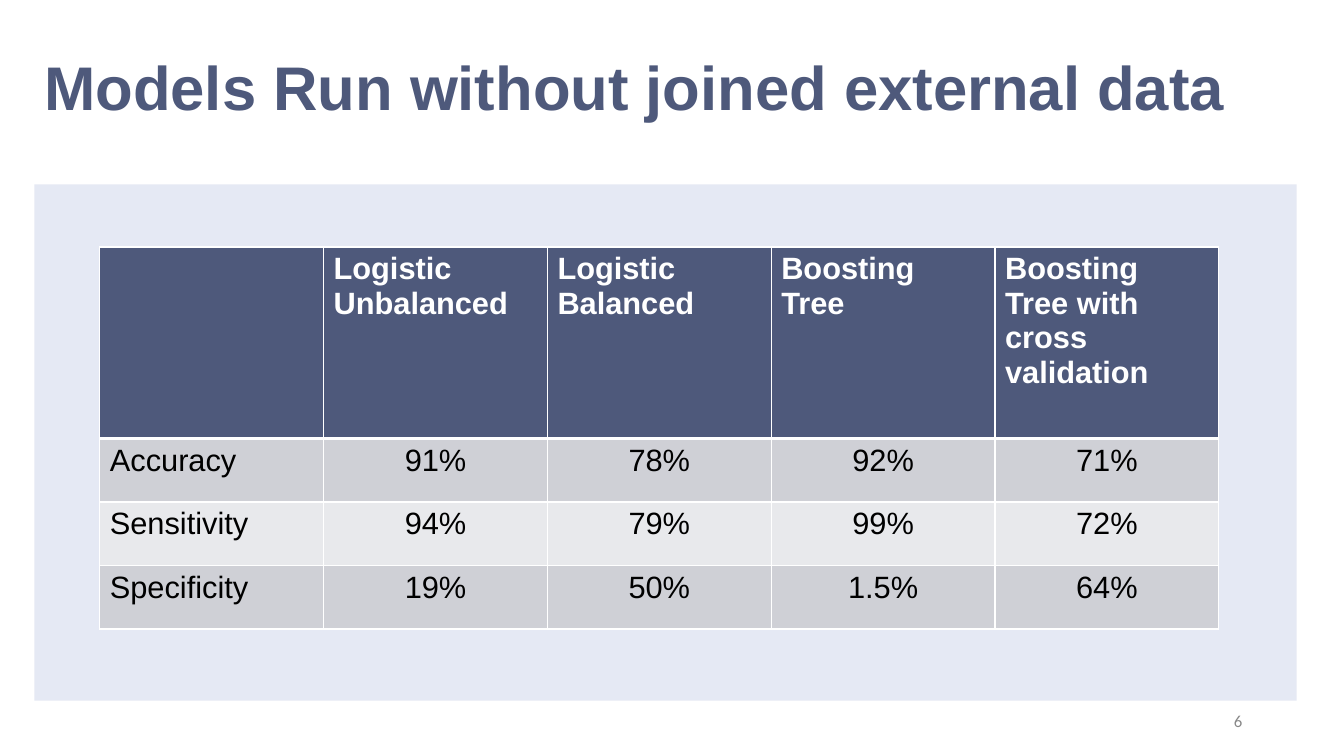
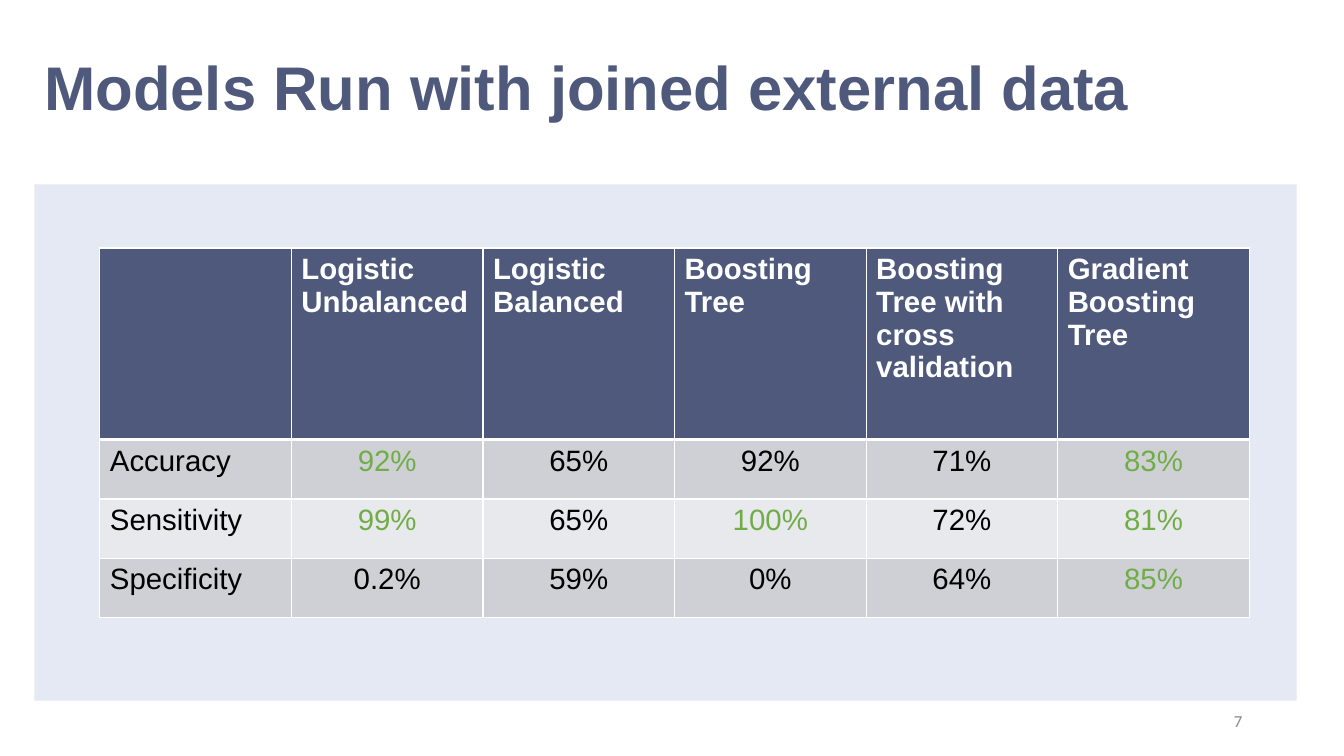
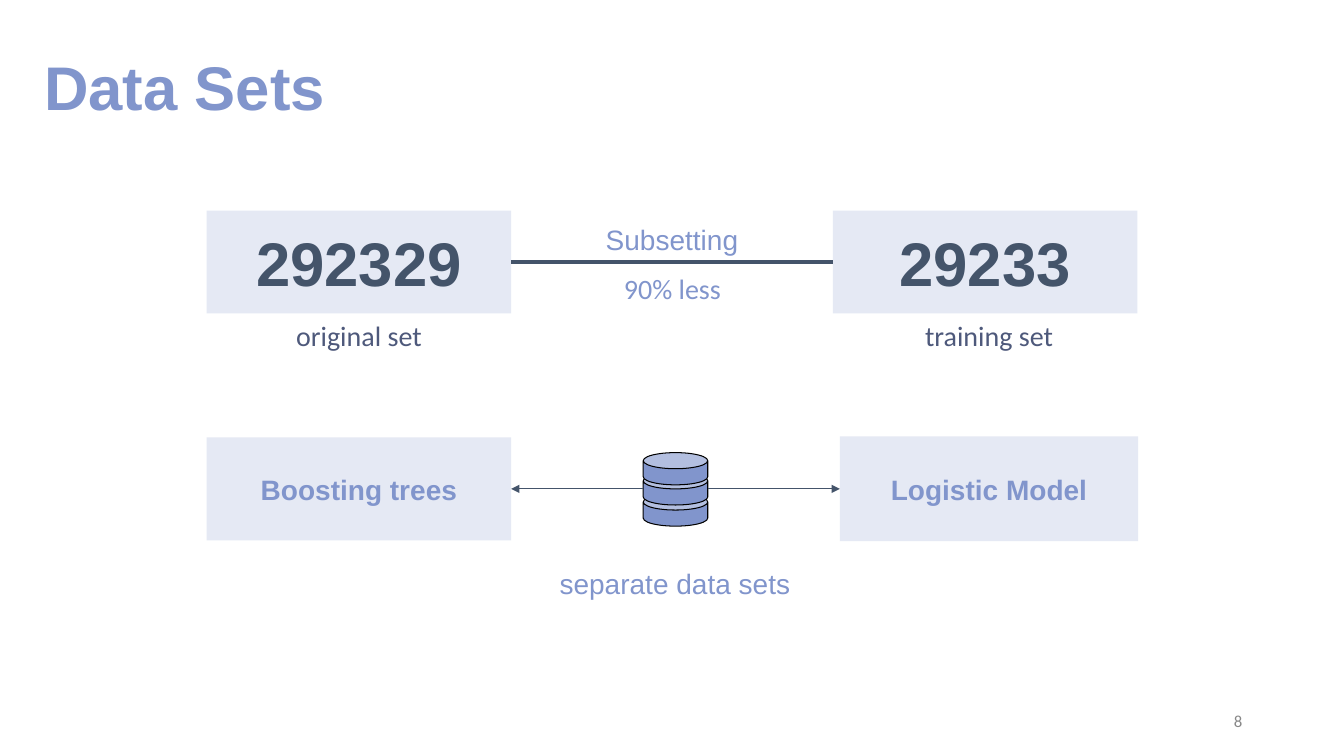
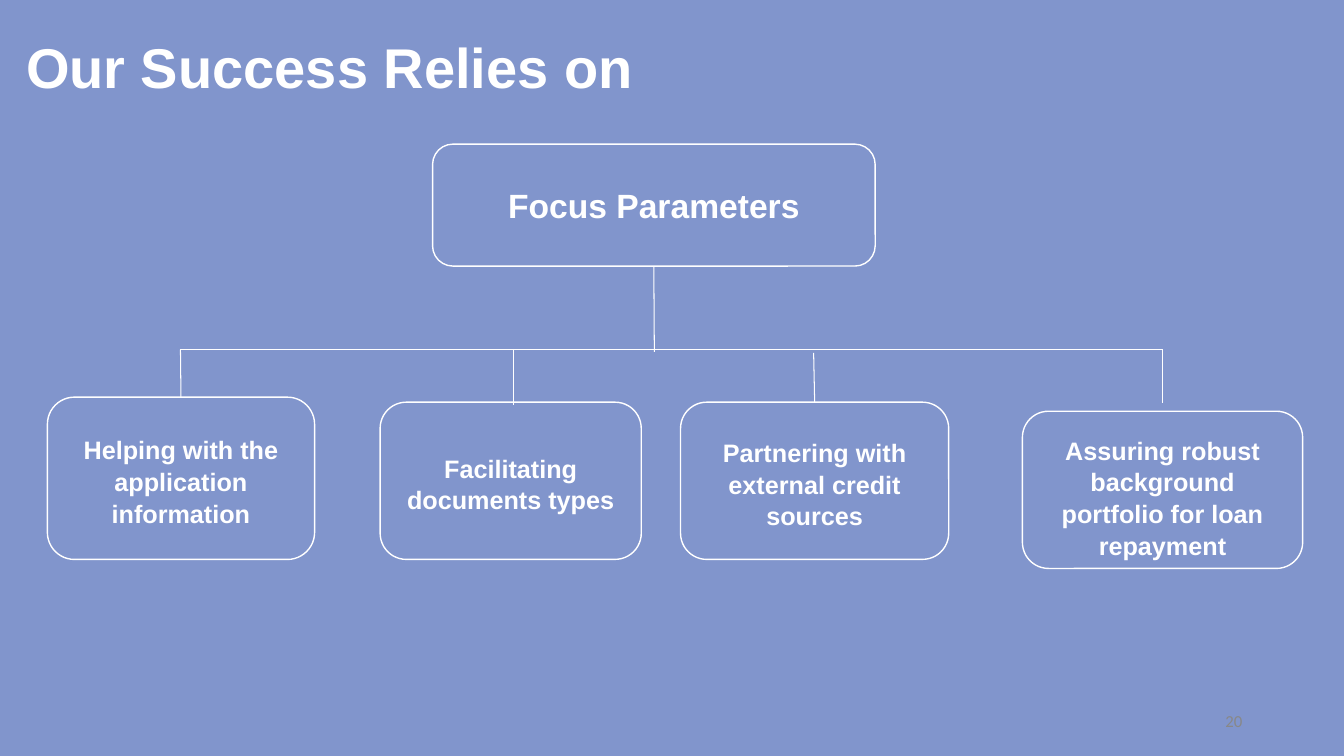
from pptx import Presentation
from pptx.dml.color import RGBColor
from pptx.enum.shapes import MSO_CONNECTOR, MSO_SHAPE
from pptx.enum.text import MSO_ANCHOR, PP_ALIGN
from pptx.oxml.ns import qn
from pptx.util import Inches, Pt
from lxml import etree

LEFT, CENTER, RIGHT = PP_ALIGN.LEFT, PP_ALIGN.CENTER, PP_ALIGN.RIGHT
TOP, MIDDLE = MSO_ANCHOR.TOP, MSO_ANCHOR.MIDDLE
RECT, ROUND, CAN = MSO_SHAPE.RECTANGLE, MSO_SHAPE.ROUNDED_RECTANGLE, MSO_SHAPE.CAN
STRAIGHT = MSO_CONNECTOR.STRAIGHT

NAVY, BLUE, PALE, SLATE = "4E597B", "8195CC", "E5E9F4", "44546A"
WHITE, BLACK, GRAY, GREEN = "FFFFFF", "000000", "888888", "70AD47"
BANDS = ["CFD0D6", "E8E9EC"]

prs = Presentation()
prs.slide_width, prs.slide_height = Inches(13.33), Inches(7.5)


def color(value):
    return RGBColor.from_string(value)


def write(frame, text, size=20, ink=BLUE, bold=False, font="Arial",
          align=CENTER, anchor=MIDDLE, spacing=None):
    frame.word_wrap = True
    frame.vertical_anchor = anchor
    para = frame.paragraphs[0]
    para.alignment = align
    para.line_spacing = spacing
    run = para.add_run()
    run.text = text
    run.font.size, run.font.bold, run.font.name = Pt(size), bold, font
    run.font.color.rgb = color(ink)


def label(slide, box, text, **style):
    """Add a text box; box is left, top, width, height in inches."""
    area = slide.shapes.add_textbox(*map(Inches, box))
    write(area.text_frame, text, **style)


def block(slide, kind, box, fill=None, line=None, width=1):
    """Add a preset shape; without fill or line that part stays empty."""
    shape = slide.shapes.add_shape(kind, *map(Inches, box))
    shape.shadow.inherit = False
    if fill:
        shape.fill.solid()
        shape.fill.fore_color.rgb = color(fill)
    else:
        shape.fill.background()
    if line:
        shape.line.color.rgb = color(line)
        shape.line.width = Pt(width)
    else:
        shape.line.fill.background()
    return shape


def link(slide, ends, ink, width=0.75, begin=None, end=None, arrow=False):
    """Draw a line; begin and end are (shape, side) pairs to join."""
    line = slide.shapes.add_connector(STRAIGHT, *map(Inches, ends))
    line.line.color.rgb = color(ink)
    line.line.width = Pt(width)
    if begin:
        line.begin_connect(*begin)
    if end:
        line.end_connect(*end)
    if arrow:
        etree.SubElement(line.line._get_or_add_ln(), qn("a:tailEnd"), type="triangle")
    etree.SubElement(line._element.spPr, qn("a:effectLst"))


def edge(cell, side, width):
    """Give one side of a table cell a white border."""
    props = cell._tc.get_or_add_tcPr()
    line = etree.SubElement(props, qn("a:" + side), w=str(Pt(width)))
    fill = etree.SubElement(line, qn("a:solidFill"))
    etree.SubElement(fill, qn("a:srgbClr"), val=WHITE)


# Shared parts: background, title, page number
TITLE = (0.34, 0.17, 12.52, 1.45)
pages = [
    ("Models Run without joined external data", 6, NAVY, WHITE, TITLE, 44),
    ("Models Run with joined external data", 7, NAVY, WHITE, TITLE, 44),
    ("Data Sets", 8, BLUE, WHITE, TITLE, 44),
    ("Our Success Relies on", 20, WHITE, BLUE, (0.16, 0.27, 11.9, 0.77), 40),
]
slides = []
for title, number, ink, back, box, size in pages:
    slide = prs.slides.add_slide(prs.slide_layouts[6])
    slide.background.fill.solid()
    slide.background.fill.fore_color.rgb = color(back)
    label(slide, box, title, size=size, ink=ink, bold=True, align=LEFT,
          spacing=0.9 if size == 44 else None)
    label(slide, (9.42, 6.95, 3, 0.4), str(number), size=12, ink=GRAY,
          font="Calibri", align=RIGHT)
    slides.append(slide)

# Model result tables
heads = ["", "Logistic Unbalanced", "Logistic Balanced", "Boosting Tree",
         "Boosting Tree with cross validation"]
plain = [
    heads,
    ["Accuracy", "91%", "78%", "92%", "71%"],
    ["Sensitivity", "94%", "79%", "99%", "72%"],
    ["Specificity", "19%", "50%", "1.5%", "64%"],
]
joined = [
    heads + ["Gradient Boosting Tree"],
    ["Accuracy", "92%", "65%", "92%", "71%", "83%"],
    ["Sensitivity", "99%", "65%", "100%", "72%", "81%"],
    ["Specificity", "0.2%", "59%", "0%", "64%", "85%"],
]
better = {(1, 1), (1, 5), (2, 1), (2, 3), (2, 5), (3, 5)}
tables = [
    (slides[0], plain, 2.45, 2.22, 0.63, 22, set()),
    (slides[1], joined, 2.46, 1.9, 0.59, 21, better),
]
for slide, rows, top, wide, high, size, marks in tables:
    block(slide, RECT, (0.34, 1.83, 12.52, 5.12), PALE)
    count = len(rows[0])
    grid = slide.shapes.add_table(
        len(rows), count, Inches(0.99), Inches(top),
        Inches(wide * count), Inches(1.9 + 3 * high)).table
    for col in grid.columns:
        col.width = Inches(wide)
    for r, row in enumerate(rows):
        grid.rows[r].height = Inches(high if r else 1.9)
        for c, text in enumerate(row):
            cell = grid.cell(r, c)
            for side in ("lnL", "lnR", "lnT", "lnB"):
                thick = (r, side) in [(0, "lnB"), (1, "lnT")]
                edge(cell, side, 3 if thick else 1)
            cell.fill.solid()
            cell.fill.fore_color.rgb = color(BANDS[(r - 1) % 2] if r else NAVY)
            if text:
                ink = GREEN if (r, c) in marks else BLACK
                write(cell.text_frame, text, size=size, bold=r == 0,
                      ink=ink if r else WHITE, anchor=TOP,
                      align=CENTER if r and c else LEFT)

# Data sets
slide = slides[2]
cards = []
for box, text, size, ink in [
    ((2.05, 2.09, 3.02, 1.02), "292329", 44, SLATE),
    ((8.26, 2.09, 3.02, 1.02), "29233", 44, SLATE),
    ((2.05, 4.34, 3.02, 1.02), "Boosting trees", 20, BLUE),
    ((8.33, 4.33, 2.96, 1.04), "Logistic Model", 20, BLUE),
]:
    card = block(slide, RECT, box, PALE)
    write(card.text_frame, text, size=size, ink=ink, bold=True)
    cards.append(card)
full, train, trees, model = cards
link(slide, (5.07, 2.6, 8.26, 2.6), SLATE, 3, (full, 3), (train, 1))
for box, text, font, ink in [
    ((5.1, 2.16, 3.13, 0.44), "Subsetting", "Arial", BLUE),
    ((5.76, 2.64, 1.82, 0.44), "90% less", "Calibri", BLUE),
    ((2.65, 3.11, 1.82, 0.44), "original set", "Calibri", NAVY),
    ((8.9, 3.11, 1.82, 0.44), "training set", "Calibri", NAVY),
    ((5.13, 5.57, 3.13, 0.49), "separate data sets", "Arial", BLUE),
]:
    label(slide, box, text, font=font, ink=ink, anchor=TOP)
for top in (4.9, 4.69, 4.49):
    disk = block(slide, CAN, (6.38, top, 0.64, 0.32), BLUE, BLACK, 0.75)
    disk.adjustments[0] = 0.5
link(slide, (6.38, 4.85, 5.07, 4.85), SLATE, end=(trees, 3), arrow=True)
link(slide, (7.02, 4.85, 8.33, 4.85), SLATE, end=(model, 1), arrow=True)

# Success tree
slide = slides[3]
focus = block(slide, ROUND, (4.29, 1.43, 4.39, 1.21), line=WHITE)
write(focus.text_frame, "Focus Parameters", size=24, ink=WHITE, bold=True)
link(slide, (6.49, 3.49, 6.49, 2.64), WHITE, end=(focus, 2))
link(slide, (1.79, 3.47, 11.53, 3.47), WHITE)
# box, text, stem (x, top, bottom), stem joins box, top inset
for box, text, (x, top, low), joins, inset in [
    ((0.47, 3.94, 2.65, 1.61), "Helping with the application information",
     (1.79, 3.47, 3.94), True, 0.05),
    ((3.77, 3.99, 2.59, 1.56), "Facilitating documents types",
     (5.09, 3.46, 4.02), False, 0.05),
    ((6.75, 3.99, 2.66, 1.56), "Partnering with external credit sources",
     (8.07, 3.5, 3.99), True, 0.05),
    ((10.14, 4.08, 2.78, 1.56),
     "Assuring robust background portfolio for loan repayment",
     (11.53, 3.47, 4), False, 0.14),
]:
    leaf = block(slide, ROUND, box, line=WHITE)
    leaf.text_frame.margin_top = Inches(inset)
    leaf.text_frame.margin_bottom = Inches(0)
    write(leaf.text_frame, text, size=18, ink=WHITE, bold=True, spacing=1.05)
    link(slide, (x, top, x, low), WHITE, end=(leaf, 0) if joins else None)

prs.save("out.pptx")
